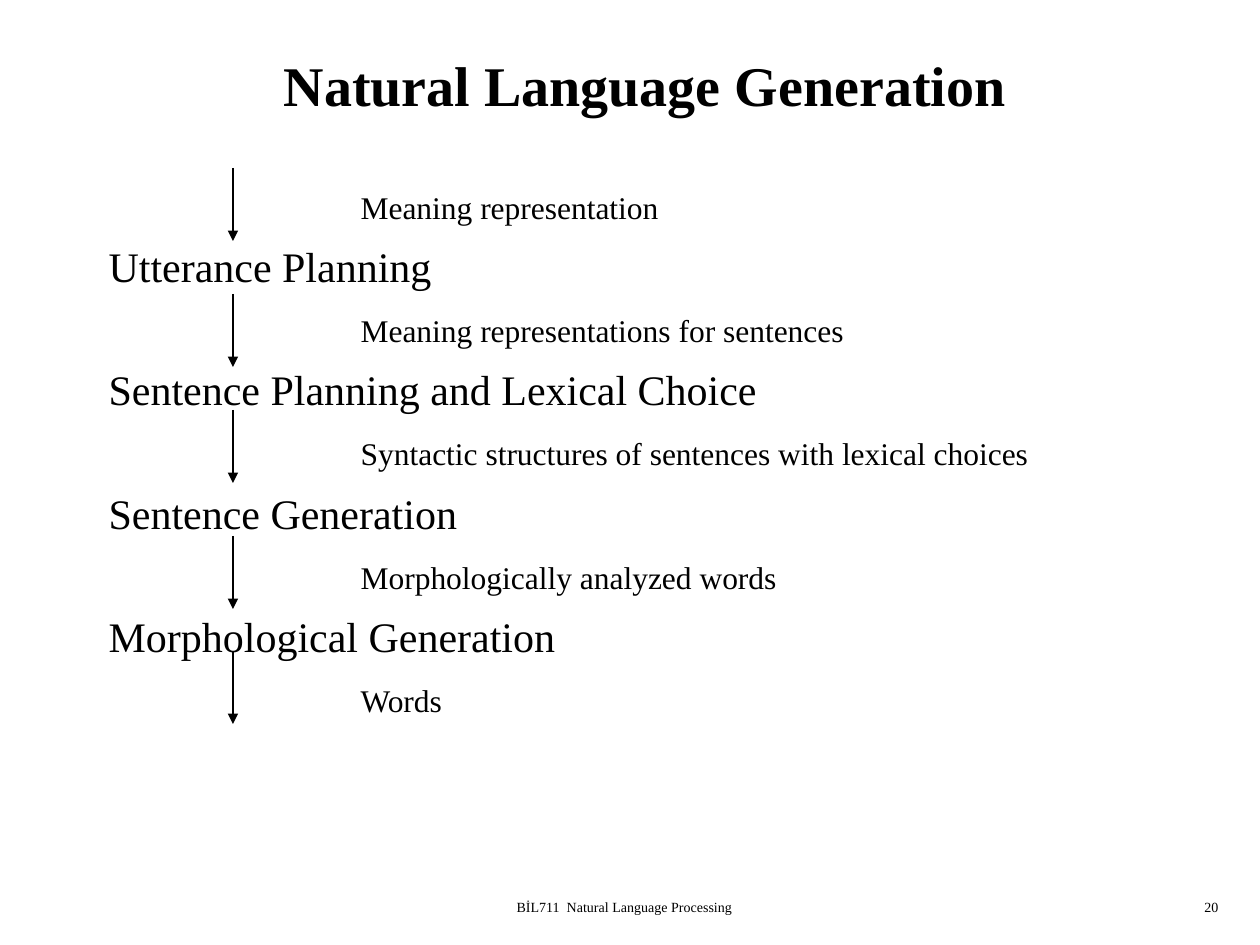
from lxml import etree
from pptx import Presentation
from pptx.dml.color import RGBColor
from pptx.enum.shapes import MSO_CONNECTOR
from pptx.enum.text import MSO_ANCHOR, MSO_AUTO_SIZE, PP_ALIGN
from pptx.oxml.ns import qn
from pptx.util import Emu, Pt

STRAIGHT = MSO_CONNECTOR.STRAIGHT
TOP, MIDDLE = MSO_ANCHOR.TOP, MSO_ANCHOR.MIDDLE
NO_FIT = MSO_AUTO_SIZE.NONE
LEFT, CENTER, RIGHT = PP_ALIGN.LEFT, PP_ALIGN.CENTER, PP_ALIGN.RIGHT
FONT = "Times New Roman"
BLACK = "000000"
STAGE_INDENT, LABEL_INDENT = 47, 299
ARROW_X, ARROW_LENGTH = 233, 73
ARROW_TOPS = (168, 294, 410, 536, 651)
STEPS = [
    ("Meaning representation", "Utterance Planning"),
    ("Meaning representations for sentences", "Sentence Planning and Lexical Choice"),
    ("Syntactic structures of sentences with lexical choices", "Sentence Generation"),
    ("Morphologically analyzed words", "Morphological Generation"),
    ("Words", None),
]


def px(length):
    return Emu(round(length * 914400 / 126))


def color(value):
    return RGBColor.from_string(value)


def place(shape, left, top, width, height):
    shape.left, shape.top = px(left), px(top)
    shape.width, shape.height = px(width), px(height)


def prepare_frame(shape, anchor):
    frame = shape.text_frame
    frame.word_wrap = True
    frame.auto_size = NO_FIT
    frame.vertical_anchor = anchor
    return frame


def format_paragraph(paragraph, text, size, alignment=LEFT, bold=False):
    paragraph.text = text
    paragraph.alignment = alignment
    paragraph.font.name = FONT
    paragraph.font.size = Pt(size)
    paragraph.font.bold = bold
    paragraph.font.color.rgb = color(BLACK)


def add_title(slide, text):
    title = slide.shapes.title
    place(title, 49, 21, 1192, 126)
    frame = prepare_frame(title, MIDDLE)
    format_paragraph(frame.paragraphs[0], text, 32, CENTER, True)


def add_step_line(paragraph, text, size, indent, space_before):
    properties = paragraph._p.get_or_add_pPr()
    properties.set("marL", str(px(indent)))
    properties.set("indent", "0")
    etree.SubElement(properties, qn("a:buNone"))
    format_paragraph(paragraph, text, size)
    paragraph.space_before = Pt(space_before)


def add_steps(slide):
    body = slide.placeholders[1]
    place(body, 49, 168, 1192, 703)
    frame = prepare_frame(body, TOP)
    frame.margin_top = px(20)
    for index, (label, stage) in enumerate(STEPS):
        paragraph = frame.add_paragraph() if index else frame.paragraphs[0]
        add_step_line(paragraph, label, 18, LABEL_INDENT, 11.5 if index else 0)
        if stage:
            add_step_line(frame.add_paragraph(), stage, 24, STAGE_INDENT, 8.5)


def add_arrow(slide, top):
    arrow = slide.shapes.add_connector(
        STRAIGHT, px(ARROW_X), px(top), px(ARROW_X), px(top + ARROW_LENGTH))
    arrow.line.color.rgb = color(BLACK)
    arrow.line.width = Pt(0.75)
    etree.SubElement(arrow.line._get_or_add_ln(), qn("a:tailEnd"), type="triangle")
    etree.SubElement(arrow._element.spPr, qn("a:effectLst"))


def add_footer(slide, text, left, width, alignment):
    box = slide.shapes.add_textbox(px(left), px(892), px(width), px(32))
    frame = prepare_frame(box, TOP)
    format_paragraph(frame.paragraphs[0], text, 8, alignment)


def main():
    presentation = Presentation()
    presentation.slide_width, presentation.slide_height = px(1260), px(945)
    slide = presentation.slides.add_slide(presentation.slide_layouts[1])
    add_footer(slide, "BİL711  Natural Language Processing", 388, 473, CENTER)
    add_footer(slide, "20", 969, 262, RIGHT)
    add_title(slide, "Natural Language Generation")
    add_steps(slide)
    for top in ARROW_TOPS:
        add_arrow(slide, top)
    presentation.save("out.pptx")


if __name__ == "__main__":
    main()
